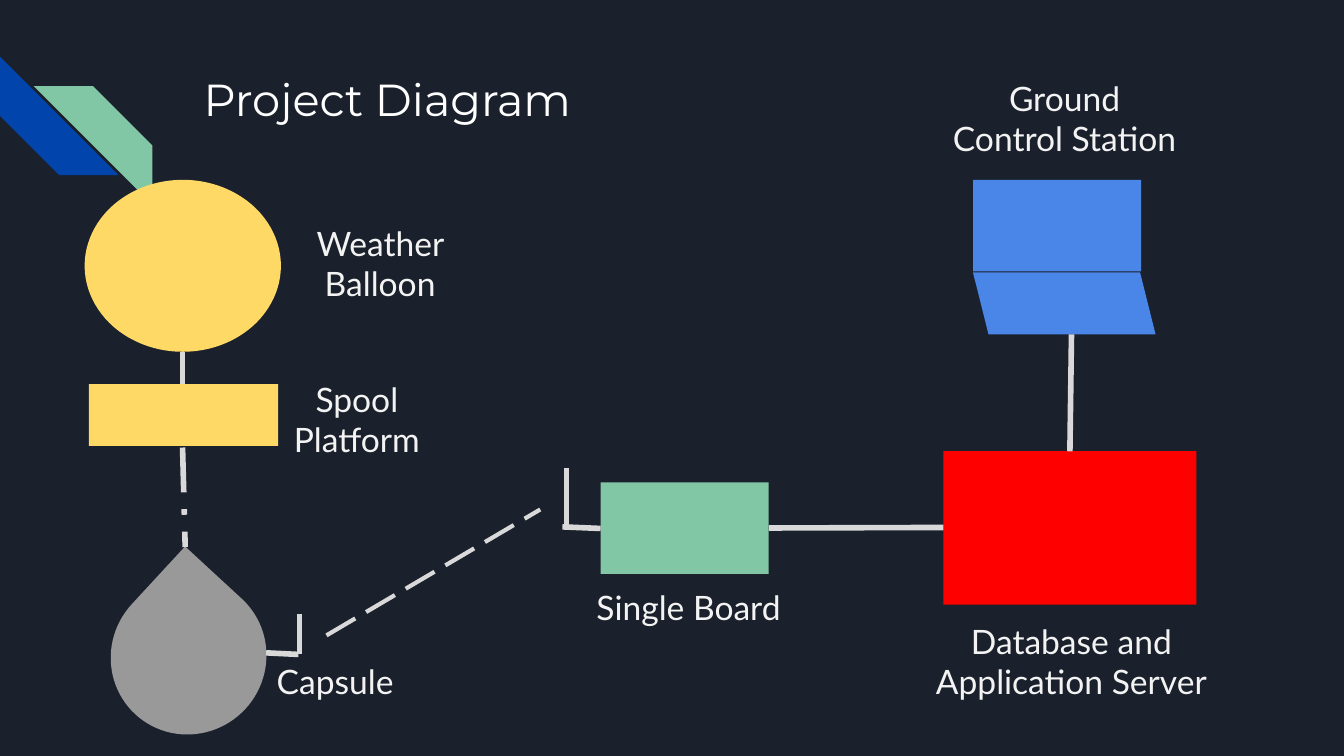
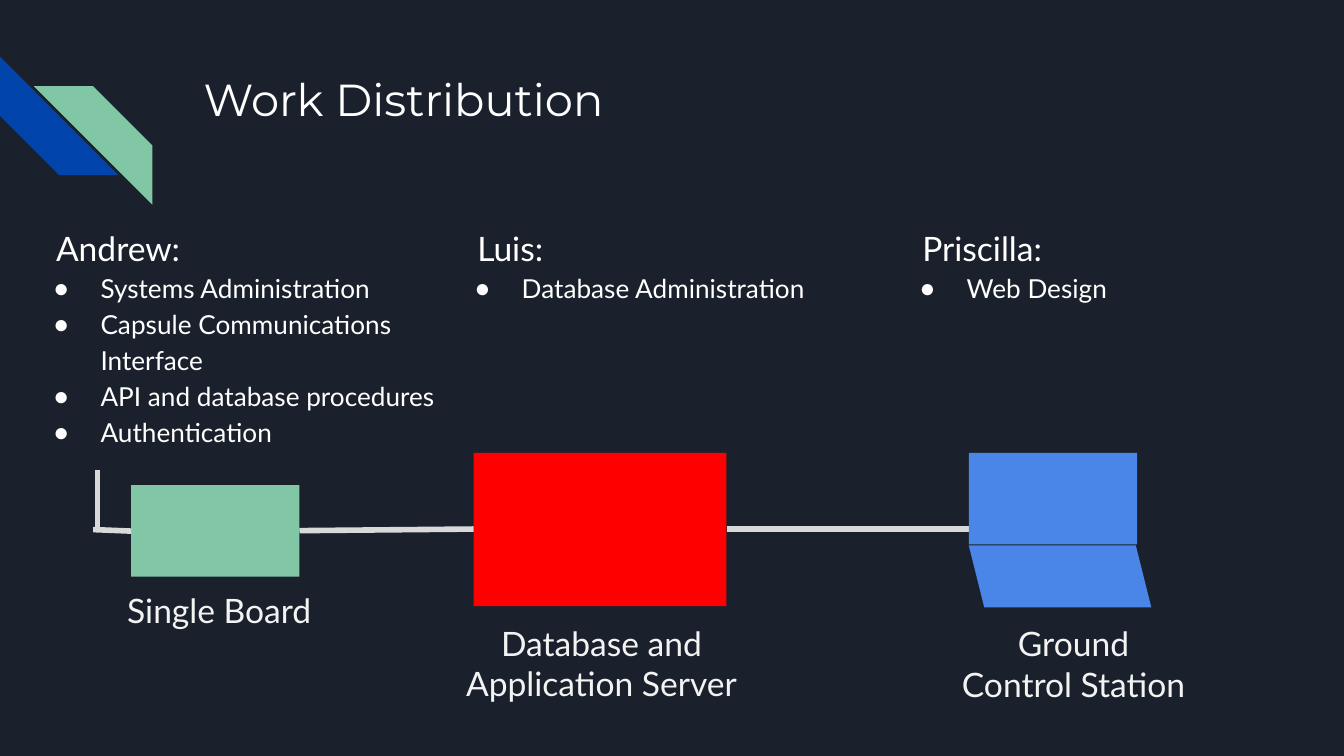
from lxml.etree import SubElement
from pptx import Presentation
from pptx.dml.color import RGBColor
from pptx.enum.dml import MSO_LINE
from pptx.enum.shapes import MSO_CONNECTOR, MSO_SHAPE
from pptx.enum.text import MSO_ANCHOR, MSO_AUTO_SIZE, PP_ALIGN
from pptx.oxml.ns import qn
from pptx.util import Cm, Pt

HUES = {
    "night": "1B212C", "navy": "0145AC", "mint": "82C7A5", "gold": "FFD966",
    "grey": "999999", "blue": "4A86E8", "red": "FF0000", "wire": "D9D9D9",
    "white": "FFFFFF", "pale": "F3F3F3",
}
FRAME = {
    "word_wrap": True, "auto_size": MSO_AUTO_SIZE.NONE,
    "vertical_anchor": MSO_ANCHOR.TOP,
    "margin_left": Cm(0.25), "margin_right": Cm(0.25),
    "margin_top": Cm(0.25), "margin_bottom": Cm(0.25),
}
TITLE = {"size": Pt(24), "name": "Montserrat", "bold": False}
LABEL = {"size": Pt(18), "name": "Lato", "bold": False}
ITEM = {**LABEL, "size": Pt(14)}
PLAIN = {"space_before": Pt(0), "space_after": Pt(0)}
MID = {**PLAIN, "alignment": PP_ALIGN.CENTER}
LEFT = {**PLAIN, "alignment": PP_ALIGN.LEFT}
LIST = {**LEFT, "line_spacing": 1.15}
WIDE = 6.5
SLIM = 4.65
LINE = 1.02


def put(part, form):
    for key, value in form.items():
        setattr(part, key, value)


def tint(hue):
    return RGBColor.from_string(HUES[hue])


def place(part, x, y, w, h):
    put(part, {"left": Cm(x), "top": Cm(y), "width": Cm(w), "height": Cm(h)})


def write(frame, text, font, para, hue):
    frame.text = text
    put(frame, FRAME)
    for line in frame.paragraphs:
        put(line, para)
        for run in line.runs:
            put(run.font, font)
            run.font.color.rgb = tint(hue)


def block(slide, kind, hue, x, y, w, h, turn=0, flip=False):
    part = slide.shapes.add_shape(kind, Cm(x), Cm(y), Cm(w), Cm(h))
    part.shadow.inherit = False
    part.fill.solid()
    part.fill.fore_color.rgb = tint(hue)
    part.line.fill.background()
    part.rotation = turn
    if flip:
        part._element.spPr.find(qn("a:xfrm")).set("flipH", "1")
    return part


def wire(slide, x1, y1, x2, y2, size=3, dash=None):
    part = slide.shapes.add_connector(
        MSO_CONNECTOR.STRAIGHT, Cm(x1), Cm(y1), Cm(x2), Cm(y2))
    put(part.line, {"width": Pt(size), "dash_style": dash})
    part.line.color.rgb = tint("wire")
    SubElement(part._element.spPr, qn("a:effectLst"))


def label(slide, text, x, y, w, h=LINE):
    box = slide.shapes.add_textbox(Cm(x), Cm(y), Cm(w), Cm(h))
    write(box.text_frame, text, LABEL, MID, "pale")


def start(deck, layout, text):
    slide = deck.slides.add_slide(deck.slide_layouts[layout])
    for hue, x, y, turn, flip in (("navy", 0, 1.07, 270, False),
                                  ("mint", 0.64, 1.63, 0, True)):
        part = block(slide, MSO_SHAPE.DIAGONAL_STRIPE, hue, x, y, 2.24, 2.24, turn, flip)
        part.adjustments[0] = 0.5
    title = slide.shapes.title
    place(title, 3.6, 1.1, 19.56, 2.54)
    write(title.text_frame, text, TITLE, LEFT, "white")
    return slide


def board(slide, x, y):
    block(slide, MSO_SHAPE.RECTANGLE, "mint", x, y, 3.18, 1.73)
    wire(slide, x, y + 0.87, x - 0.72, y + 0.84)
    wire(slide, x - 0.64, y - 0.28, x - 0.64, y + 0.82)
    label(slide, "Single Board", x - 0.66, y + 1.73, SLIM)


def server(slide, x, y):
    block(slide, MSO_SHAPE.RECTANGLE, "red", x, y, 4.78, 2.9)
    label(slide, "Database and\nApplication Server", x - 0.83, y + 2.96, WIDE)


def station(slide, x, y, dx, dy):
    base = block(slide, MSO_SHAPE.PARALLELOGRAM, "blue", x, y + 1.75, 3.45, 1.17, flip=True)
    base.adjustments[0] = 0.25
    block(slide, MSO_SHAPE.RECTANGLE, "blue", x, y, 3.18, 1.73)
    label(slide, "Ground\nControl Station", x + dx, y + dy, WIDE)


def flight(slide, x, y):
    block(slide, MSO_SHAPE.OVAL, "gold", x, y, 3.71, 3.25)
    block(slide, MSO_SHAPE.RECTANGLE, "gold", x + 0.08, y + 3.86, 3.58, 1.17)
    block(slide, MSO_SHAPE.TEAR, "grey", x + 0.48, y + 7.55, 2.97, 2.92, 312.7)
    wire(slide, x + 1.85, y + 3.25, x + 1.85, y + 3.86)
    wire(slide, x + 1.85, y + 5.06, x + 1.9, y + 6.94, dash=MSO_LINE.LONG_DASH_DOT)
    wire(slide, x + 3.43, y + 8.94, x + 4.04, y + 8.97)
    wire(slide, x + 4.06, y + 8.97, x + 4.06, y + 8.21)
    label(slide, "Weather Balloon", x + 3.86, y + 0.56, 3.45, 1.73)
    label(slide, "Spool\nPlatform", x + 2.82, y + 3.51, SLIM)
    label(slide, "Capsule", x + 2.41, y + 8.84, SLIM)


def tasks(body, name, jobs, x, y, w, h):
    place(body, x, y, w, h)
    frame = body.text_frame
    write(frame, "\n".join([name, *jobs]), ITEM, LIST, "white")
    head, *rest = frame.paragraphs
    put(head.runs[0].font, LABEL)
    props = head._p.get_or_add_pPr()
    props.set("marL", str(Cm(0.43)))
    props.set("indent", "0")
    SubElement(props, qn("a:buNone"))
    for line in rest:
        props = line._p.get_or_add_pPr()
        props.set("marL", str(Cm(1.27)))
        props.set("indent", str(-Cm(0.89)))
        dot = SubElement(props, qn("a:buClr"))
        SubElement(dot, qn("a:srgbClr")).set("val", HUES["white"])
        SubElement(props, qn("a:buChar")).set("char", "●")


def diagram(deck):
    slide = start(deck, 5, "Project Diagram")
    flight(slide, 1.6, 3.4)
    wire(slide, 6.17, 12.01, 10.21, 9.63, 2.25, MSO_LINE.LONG_DASH)
    board(slide, 11.35, 9.12)
    station(slide, 18.39, 3.4, -1.52, -2.18)
    server(slide, 17.83, 8.53)
    wire(slide, 14.53, 9.98, 17.83, 9.97)
    wire(slide, 20.22, 8.53, 20.25, 6.32)


def work(deck):
    slide = start(deck, 4, "Work Distribution")
    board(slide, 2.48, 9.17)
    server(slide, 8.95, 8.56)
    wire(slide, 5.66, 10.03, 8.95, 10)
    wire(slide, 13.73, 10, 20.02, 10)
    station(slide, 18.31, 8.56, -1.27, 2.97)
    crew = (
        ("Andrew:", ["Systems Administration", "Capsule Communications Interface",
                     "API and database procedures", "Authentication"], 0.38, 8.13),
        ("Luis:", ["Database Administration"], 8.34, 7.32),
        ("Priscilla:", ["Web Design"], 16.75, 7.32),
    )
    for spot, (name, jobs, x, w) in enumerate(crew, 1):
        tasks(slide.placeholders[spot], name, jobs, x, 3.94, w, 4.11)
    spare = slide.placeholders[4]._element
    spare.getparent().remove(spare)


def main():
    deck = Presentation()
    put(deck, {"slide_width": Cm(25.4), "slide_height": Cm(14.29)})
    back = deck.slide_master.background.fill
    back.solid()
    back.fore_color.rgb = tint("night")
    diagram(deck)
    work(deck)
    deck.save("out.pptx")


if __name__ == "__main__":
    main()
